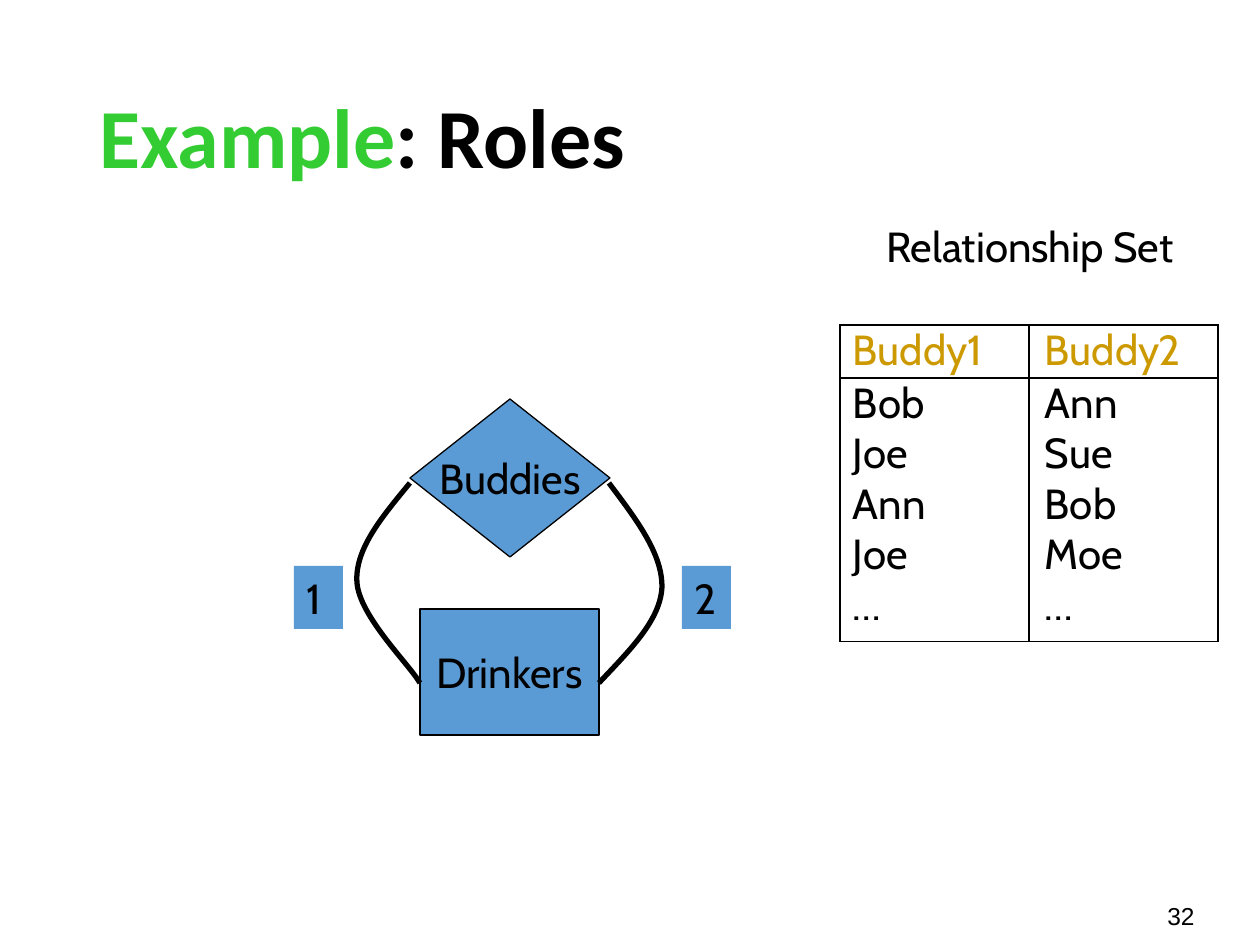
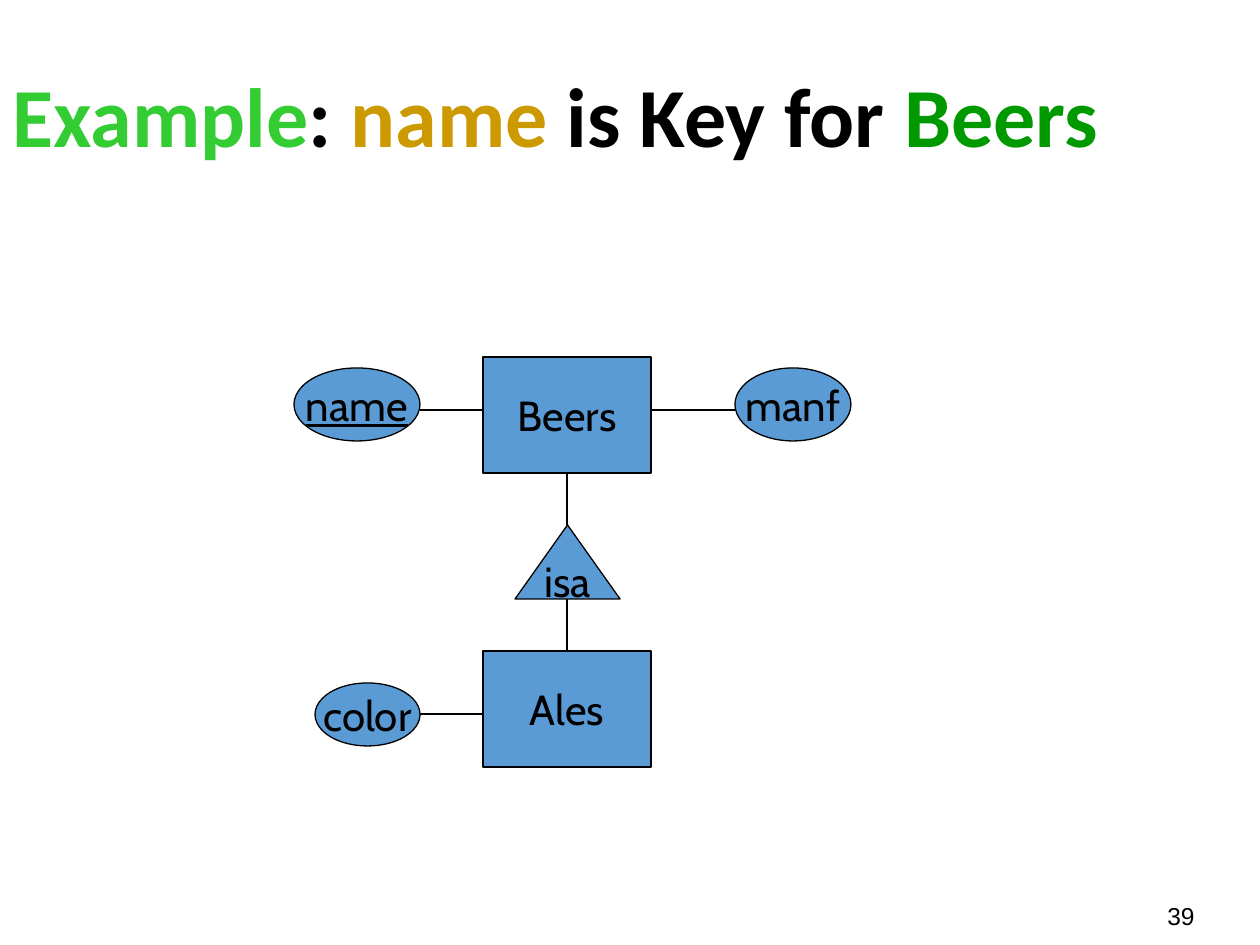
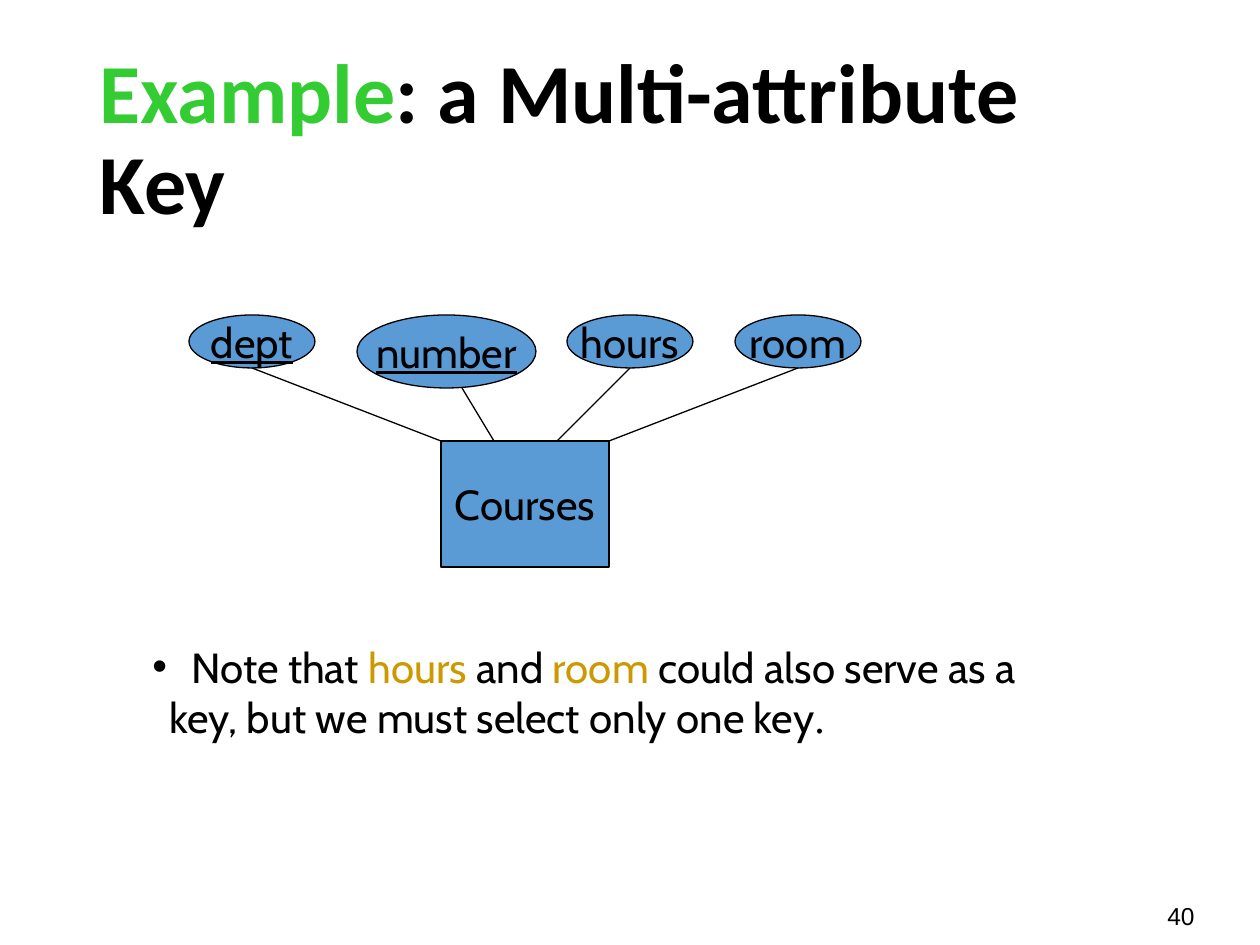
from lxml import etree
from pptx import Presentation
from pptx.dml.color import RGBColor
from pptx.enum.shapes import MSO_CONNECTOR, MSO_SHAPE as Preset
from pptx.enum.text import MSO_ANCHOR as Anchor, MSO_AUTO_SIZE, PP_ALIGN as Align
from pptx.oxml.ns import qn
from pptx.util import Emu, Pt

# Shared scale, colours and type
PX = 914400 / 126
BLACK = "000000"
BLUE = "5B9BD5"
LIME = "33CC33"
GREEN = "009900"
GOLD = "CC9900"
TEXT_FONT = "Cabin"
TITLE_FONT = "Calibri"
TITLE_BOX = (87, 50, 1087, 183)
TITLE_SIZE = 48
TEXT_SIZE = 24
THIN, THICK = 0.75, 3
BOTTOM_SIDE, TOP_SIDE = 2, 0


def px(*lengths):
    return [Emu(round(length * PX)) for length in lengths]


def color(hex_string):
    return RGBColor.from_string(hex_string)


def add_run(paragraph, text, hex_color=BLACK, size=TEXT_SIZE, font=TEXT_FONT,
            bold=False, underline=False):
    run = paragraph.add_run()
    run.text = text
    run.font.name = font
    run.font.size = Pt(size)
    run.font.bold = bold
    run.font.underline = underline
    run.font.color.rgb = color(hex_color)


def add_text_box(slide, left, top, width, height):
    frame = slide.shapes.add_textbox(*px(left, top, width, height)).text_frame
    frame.word_wrap = True
    return frame


def add_titled_slide(presentation, title_runs, number, box=TITLE_BOX):
    slide = presentation.slides.add_slide(presentation.slide_layouts[5])
    title = slide.shapes.title
    title.left, title.top, title.width, title.height = px(*box)
    frame = title.text_frame
    frame.word_wrap = True
    frame.auto_size = MSO_AUTO_SIZE.NONE
    frame.vertical_anchor = Anchor.MIDDLE
    paragraph = frame.paragraphs[0]
    paragraph.alignment = Align.LEFT
    paragraph.line_spacing = 0.9
    for text, hex_color in title_runs:
        add_run(paragraph, text, hex_color, TITLE_SIZE, TITLE_FONT, bold=True)
    # Page number
    footer = add_text_box(slide, 1155, 895, 73, 43)
    add_run(footer.paragraphs[0], str(number), size=14, font="Arial")
    return slide


def set_line(shape, points=THIN):
    shape.line.color.rgb = color(BLACK)
    shape.line.width = Pt(points)


def add_node(slide, preset, text, left, top, width, height, underline=False):
    """Filled diagram symbol with a centred name."""
    node = slide.shapes.add_shape(preset, *px(left, top, width, height))
    node.shadow.inherit = False
    node.fill.solid()
    node.fill.fore_color.rgb = color(BLUE)
    set_line(node)
    frame = node.text_frame
    frame.word_wrap = False
    frame.vertical_anchor = Anchor.MIDDLE
    frame.paragraphs[0].alignment = Align.CENTER
    add_run(frame.paragraphs[0], text, underline=underline)
    return node


def add_role_label(slide, text, left):
    label = add_node(slide, Preset.RECTANGLE, text, left, 566, 49, 63)
    label.line.fill.background()
    label.text_frame.vertical_anchor = Anchor.TOP
    label.text_frame.paragraphs[0].alignment = Align.LEFT


def add_line(slide, x1, y1, x2, y2):
    line = slide.shapes.add_connector(MSO_CONNECTOR.STRAIGHT, *px(x1, y1, x2, y2))
    set_line(line)
    etree.SubElement(line._element.spPr, qn("a:effectLst"))
    return line


def add_curve(slide, start, points):
    """Open Bézier curve; every three points make one segment."""
    builder = slide.shapes.build_freeform(*start, scale=PX)
    builder.add_line_segments(points, close=False)
    curve = builder.convert_to_shape()
    curve.shadow.inherit = False
    curve.fill.background()
    set_line(curve, THICK)
    segments = list(curve._element.iter(qn("a:lnTo")))
    outline = segments[0].getparent()
    for first in range(0, len(segments), 3):
        bezier = etree.SubElement(outline, qn("a:cubicBezTo"))
        for segment in segments[first:first + 3]:
            bezier.append(segment[0])
            outline.remove(segment)


def set_borders(cell, visible_sides):
    properties = cell._tc.get_or_add_tcPr()
    for index, side in enumerate("LRTB"):
        border = etree.Element(qn(f"a:ln{side}"), w=str(Pt(THIN)))
        if side in visible_sides:
            fill = etree.SubElement(border, qn("a:solidFill"))
            etree.SubElement(fill, qn("a:srgbClr"), val=BLACK)
        else:
            etree.SubElement(border, qn("a:noFill"))
        properties.insert(index, border)


def add_relationship_table(slide, rows, left, top, column_width, row_heights):
    column_count = len(rows[0])
    table = slide.shapes.add_table(
        len(rows), column_count,
        *px(left, top, column_width * column_count, sum(row_heights))).table
    table.horz_banding = False
    for column in table.columns:
        column.width = px(column_width)[0]
    for row_index, (names, height) in enumerate(zip(rows, row_heights)):
        table.rows[row_index].height = px(height)[0]
        is_header = row_index == 0
        sides = "LR" + ("TB" if is_header else "")
        sides += "T" if row_index == 1 else ""
        sides += "B" if row_index == len(rows) - 1 else ""
        for column_index, name in enumerate(names):
            cell = table.cell(row_index, column_index)
            cell.fill.background()
            cell.margin_left = px(13 + 3 * column_index)[0]
            cell.margin_right = cell.margin_top = cell.margin_bottom = 0
            set_borders(cell, sides)
            add_run(cell.text_frame.paragraphs[0], name, GOLD if is_header else BLACK)


def indent(paragraph, left, bullet=None):
    properties = paragraph._p.get_or_add_pPr()
    margin = px(left)[0]
    properties.set("marL", str(margin))
    properties.set("indent", str(-margin if bullet else 0))
    if bullet:
        bullet_color = etree.SubElement(properties, qn("a:buClr"))
        etree.SubElement(bullet_color, qn("a:srgbClr"), val=BLACK)
        etree.SubElement(properties, qn("a:buFont"), typeface="Arial")
        etree.SubElement(properties, qn("a:buChar"), char=bullet)


def build_roles(presentation):
    slide = add_titled_slide(presentation, [("Example", LIME), (": Roles", BLACK)], 32)

    # Diagram
    add_node(slide, Preset.RECTANGLE, "Drinkers", 420, 609, 179, 126)
    add_node(slide, Preset.DIAMOND, "Buddies", 410, 399, 200, 158)
    add_role_label(slide, "1", 294)
    add_role_label(slide, "2", 682)
    add_curve(slide, (609, 483), [(636, 519), (663, 554), (662, 588),
                                  (660, 621), (629, 651), (599, 683)])
    add_curve(slide, (410, 483), [(382, 517), (355, 549), (357, 582),
                                  (359, 616), (410, 665), (420, 683)])

    # Relationship set
    caption = add_text_box(slide, 874, 214, 330, 63)
    add_run(caption.paragraphs[0], "Relationship Set")
    pairs = [("Buddy1", "Buddy2"), ("Bob", "Ann"), ("Joe", "Sue"),
             ("Ann", "Bob"), ("Joe", "Moe"), ("…", "…")]
    add_relationship_table(slide, pairs, 840, 325, 189, [53, 50, 50, 50, 50, 62])


def build_single_key(presentation):
    title = [("Example", LIME), (": ", BLACK), ("name", GOLD),
             (" is Key for ", BLACK), ("Beers", GREEN)]
    slide = add_titled_slide(presentation, title, 39, (0, 42, 1260, 157))

    # Entities and their attributes
    beers = add_node(slide, Preset.RECTANGLE, "Beers", 483, 357, 168, 116)
    ales = add_node(slide, Preset.RECTANGLE, "Ales", 483, 651, 168, 116)
    add_node(slide, Preset.ISOSCELES_TRIANGLE, "isa", 515, 525, 105, 74)
    add_node(slide, Preset.OVAL, "name", 294, 368, 126, 73, underline=True)
    add_node(slide, Preset.OVAL, "manf", 735, 368, 116, 73)
    add_node(slide, Preset.OVAL, "color", 315, 683, 105, 63)

    # Links
    add_line(slide, 420, 410, 483, 410)
    add_line(slide, 735, 410, 651, 410)
    add_line(slide, 420, 714, 483, 714)
    add_line(slide, 567, 525, 567, 473).end_connect(beers, BOTTOM_SIDE)
    add_line(slide, 567, 599, 567, 651).end_connect(ales, TOP_SIDE)


def build_multi_key(presentation):
    title = [("Example", LIME), (": a Multi-attribute Key", BLACK)]
    slide = add_titled_slide(presentation, title, 40)

    # Entity with its attributes
    add_node(slide, Preset.RECTANGLE, "Courses", 441, 441, 168, 126)
    attributes = [("dept", 189, 126, 53, True), ("number", 357, 179, 73, True),
                  ("hours", 567, 126, 53, False), ("room", 735, 126, 53, False)]
    for name, left, width, height, is_key in attributes:
        add_node(slide, Preset.OVAL, name, left, 315, width, height, is_key)
    for x1, y1, x2 in [(252, 368, 441), (462, 388, 494),
                       (630, 368, 557), (798, 368, 609)]:
        add_line(slide, x1, y1, x2, 441)

    # Note
    frame = add_text_box(slide, 140, 635, 984, 113)
    first = frame.paragraphs[0]
    indent(first, 39, "•")
    for text, hex_color in [("Note that ", BLACK), ("hours", GOLD), (" and ", BLACK),
                            ("room", GOLD), (" could also serve as a", BLACK)]:
        add_run(first, text, hex_color)
    second = frame.add_paragraph()
    indent(second, 17)
    add_run(second, "key, but we must select only one key")
    add_run(second, ".", font="Times New Roman")


def main():
    presentation = Presentation()
    presentation.slide_width, presentation.slide_height = px(1260, 945)
    build_roles(presentation)
    build_single_key(presentation)
    build_multi_key(presentation)
    presentation.save("out.pptx")


if __name__ == "__main__":
    main()
